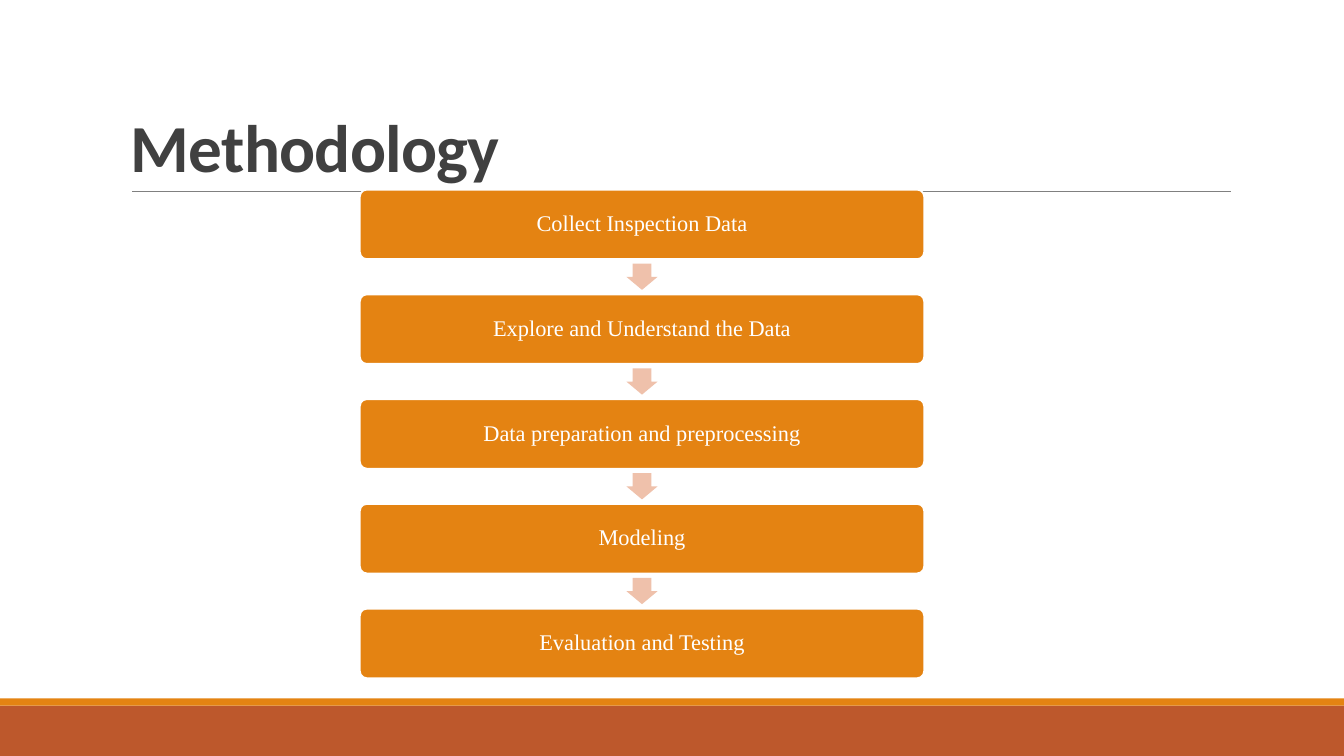
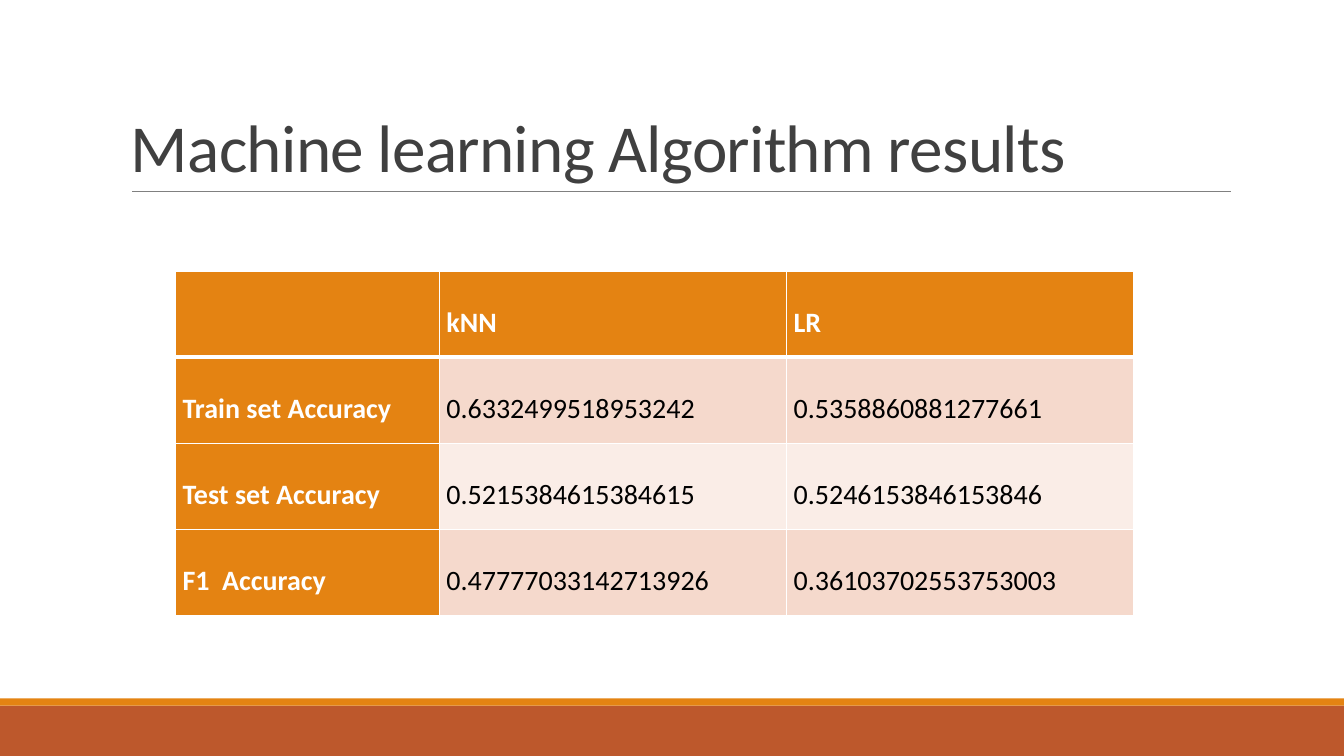
from lxml import etree
from pptx import Presentation
from pptx.dml.color import RGBColor
from pptx.enum.shapes import MSO_CONNECTOR, MSO_SHAPE
from pptx.enum.text import MSO_ANCHOR, PP_ALIGN
from pptx.oxml.ns import qn
from pptx.util import Cm, Pt

RECTANGLE = MSO_SHAPE.RECTANGLE
ROUNDED = MSO_SHAPE.ROUNDED_RECTANGLE
DOWN_ARROW = MSO_SHAPE.DOWN_ARROW
STRAIGHT = MSO_CONNECTOR.STRAIGHT
MIDDLE, BOTTOM = MSO_ANCHOR.MIDDLE, MSO_ANCHOR.BOTTOM
CENTER, JUSTIFY = PP_ALIGN.CENTER, PP_ALIGN.JUSTIFY

COLORS = {
    "orange": "E48312",
    "rust": "BD582C",
    "rule": "808080",
    "title": "404040",
    "arrow": "EFC1AB",
    "band_dark": "F5D9CC",
    "band_light": "FAEDE7",
    "white": "FFFFFF",
    "black": "000000",
}
TITLE_FONT = TABLE_FONT = "Calibri"
STEP_FONT = "Times New Roman"

# Boxes are left, top, width, height in centimetres.
SLIDE_WIDTH, SLIDE_HEIGHT = 33.87, 19.05
TITLE_BOX = (3.05, 0.79, 27.94, 4.04)
FLOW_BOX = (9.07, 4.78, 14.22, 12.31)
TABLE_BOX = (4.42, 6.83, 24.15, 8.68)

STEPS = [
    "Collect Inspection Data",
    "Explore and Understand the Data",
    "Data preparation and preprocessing",
    "Modeling",
    "Evaluation and Testing",
]
RESULTS = [
    ["", "kNN", "LR"],
    ["Train set Accuracy", "0.6332499518953242", "0.5358860881277661"],
    ["Test set Accuracy", "0.5215384615384615", "0.5246153846153846"],
    ["F1  Accuracy", "0.47777033142713926", "0.36103702553753003"],
]


def rgb(name):
    return RGBColor.from_string(COLORS[name])


def format_text(paragraph, font_name, size, color, bold=False):
    for run in paragraph.runs:
        run.font.name = font_name
        run.font.size = Pt(size)
        run.font.bold = bold
        run.font.color.rgb = rgb(color)


def add_filled_shape(slide, kind, box, fill):
    shape = slide.shapes.add_shape(kind, *map(Cm, box))
    shape.shadow.inherit = False
    shape.fill.solid()
    shape.fill.fore_color.rgb = rgb(fill)
    shape.line.fill.background()
    return shape


def add_footer_bands(slide, height=1.27, stripe=0.18):
    top = SLIDE_HEIGHT - height
    add_filled_shape(slide, RECTANGLE, (0, top, SLIDE_WIDTH, height), "rust")
    add_filled_shape(slide, RECTANGLE, (0, top - stripe, SLIDE_WIDTH, stripe), "orange")


def add_title(slide, text, box, bold):
    """Place the title at the bottom of the box, with a rule under it."""
    left, top, width, height = box
    bottom = top + height
    rule = slide.shapes.add_connector(
        STRAIGHT, Cm(left + 0.28), Cm(bottom), Cm(left + width + 0.02), Cm(bottom))
    rule.line.color.rgb = rgb("rule")
    rule.line.width = Pt(0.5)
    etree.SubElement(rule._element.spPr, qn("a:effectLst"))

    text_frame = slide.shapes.add_textbox(*map(Cm, box)).text_frame
    text_frame.word_wrap = True
    text_frame.vertical_anchor = BOTTOM
    text_frame.text = text
    paragraph = text_frame.paragraphs[0]
    paragraph.line_spacing = 0.85
    format_text(paragraph, TITLE_FONT, 48, "title", bold)
    for run in paragraph.runs:
        run.font._element.set("spc", "-50")


def add_titled_slide(presentation, title, bold=False):
    slide = presentation.slides.add_slide(presentation.slide_layouts[6])
    add_footer_bands(slide)
    add_title(slide, title, TITLE_BOX, bold)
    return slide


def add_step(slide, text, box):
    shape = add_filled_shape(slide, ROUNDED, box, "orange")
    shape.adjustments[0] = 0.1
    shape.line.color.rgb = rgb("white")
    shape.line.width = Pt(1.25)
    text_frame = shape.text_frame
    text_frame.word_wrap = True
    text_frame.vertical_anchor = MIDDLE
    text_frame.text = text
    paragraph = text_frame.paragraphs[0]
    paragraph.alignment = CENTER
    paragraph.line_spacing = 0.9
    format_text(paragraph, STEP_FONT, 16, "white")


def add_flow(slide, steps, box, gap=0.89):
    """Stack the steps in the box, with an arrow centred in each gap."""
    left, top, width, height = box
    step_height = (height - gap * (len(steps) - 1)) / len(steps)
    arrow_width, arrow_height = 0.79, 0.66
    for index, text in enumerate(steps):
        step_top = top + index * (step_height + gap)
        if index:
            arrow_box = (left + (width - arrow_width) / 2,
                         step_top - (gap + arrow_height) / 2,
                         arrow_width, arrow_height)
            arrow = add_filled_shape(slide, DOWN_ARROW, arrow_box, "arrow")
            arrow.adjustments[0] = 0.6
            arrow.adjustments[1] = 0.5
        add_step(slide, text, (left, step_top, width, step_height))


def set_borders(cell, **widths):
    """Draw white borders; widths maps the sides L, R, T and B to points."""
    properties = cell._tc.get_or_add_tcPr()
    for side, width in widths.items():
        line = etree.SubElement(properties, qn(f"a:ln{side}"), w=str(Pt(width)))
        fill = etree.SubElement(line, qn("a:solidFill"))
        etree.SubElement(fill, qn("a:srgbClr"), val=COLORS["white"])


def format_cell(cell, text, row, column):
    is_heading = row == 0 or column == 0
    set_borders(cell, L=1, R=1, T=3 if row == 1 else 1, B=3 if row == 0 else 1)
    band = "band_dark" if row % 2 else "band_light"
    cell.fill.solid()
    cell.fill.fore_color.rgb = rgb("orange" if is_heading else band)
    cell.margin_left = cell.margin_right = Cm(0.18)
    cell.margin_top = cell.margin_bottom = 0
    cell.text_frame.text = text
    paragraph = cell.text_frame.paragraphs[0]
    paragraph.alignment = JUSTIFY
    paragraph.line_spacing = 2.0
    format_text(paragraph, TABLE_FONT, 20, "white" if is_heading else "black", is_heading)


def add_results_table(slide, rows, box, label_width=6.65):
    left, top, width, height = box
    column_count = len(rows[0])
    table = slide.shapes.add_table(len(rows), column_count, *map(Cm, box)).table
    table.first_row = table.horz_banding = False
    value_width = (width - label_width) / (column_count - 1)
    for index, column in enumerate(table.columns):
        column.width = Cm(value_width if index else label_width)
    for row, texts in enumerate(rows):
        table.rows[row].height = Cm(height / len(rows))
        for column, text in enumerate(texts):
            format_cell(table.cell(row, column), text, row, column)


def main():
    presentation = Presentation()
    presentation.slide_width = Cm(SLIDE_WIDTH)
    presentation.slide_height = Cm(SLIDE_HEIGHT)

    methodology = add_titled_slide(presentation, "Methodology", bold=True)
    add_flow(methodology, STEPS, FLOW_BOX)

    results = add_titled_slide(presentation, "Machine learning Algorithm results")
    add_results_table(results, RESULTS, TABLE_BOX)

    presentation.save("out.pptx")


if __name__ == "__main__":
    main()
